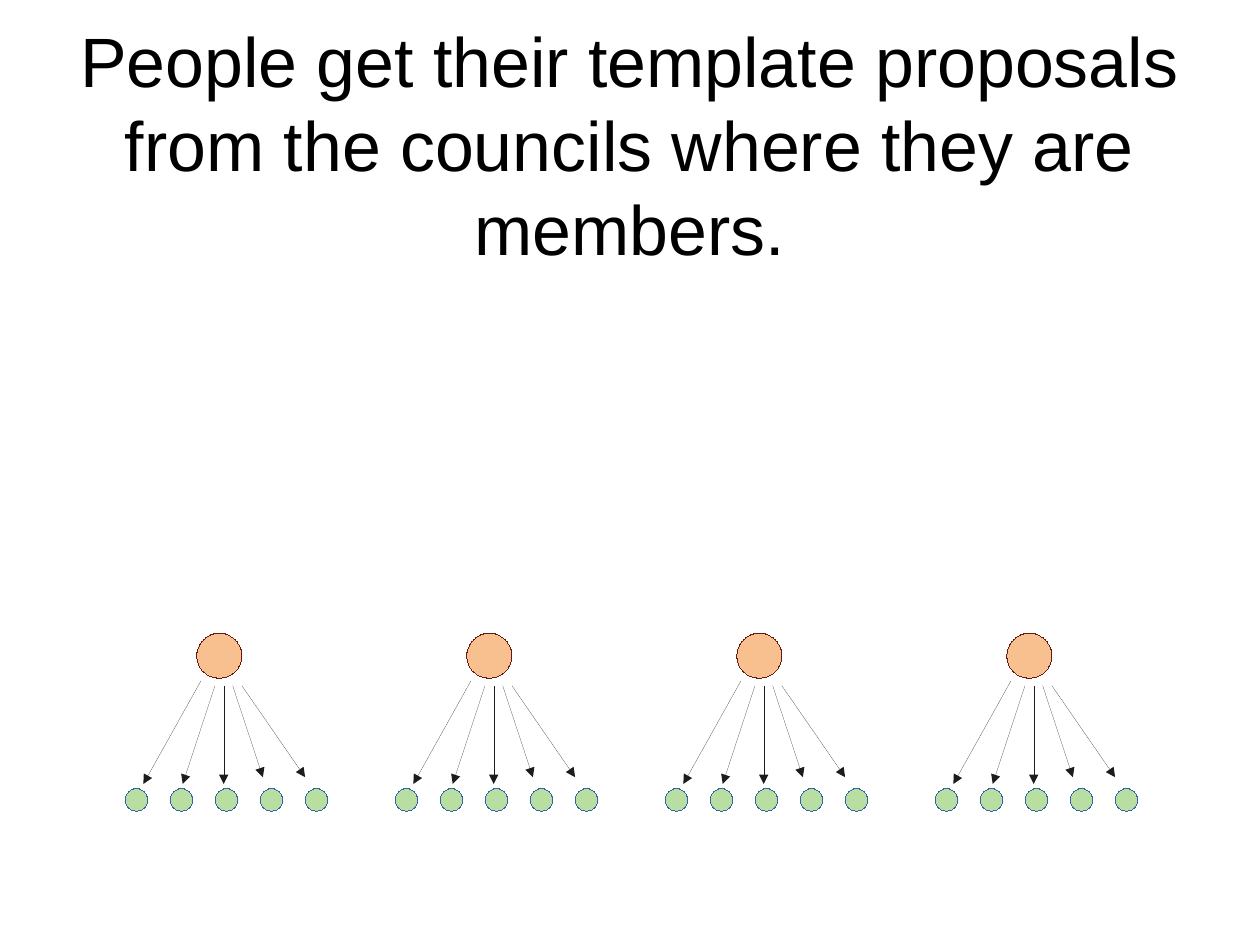
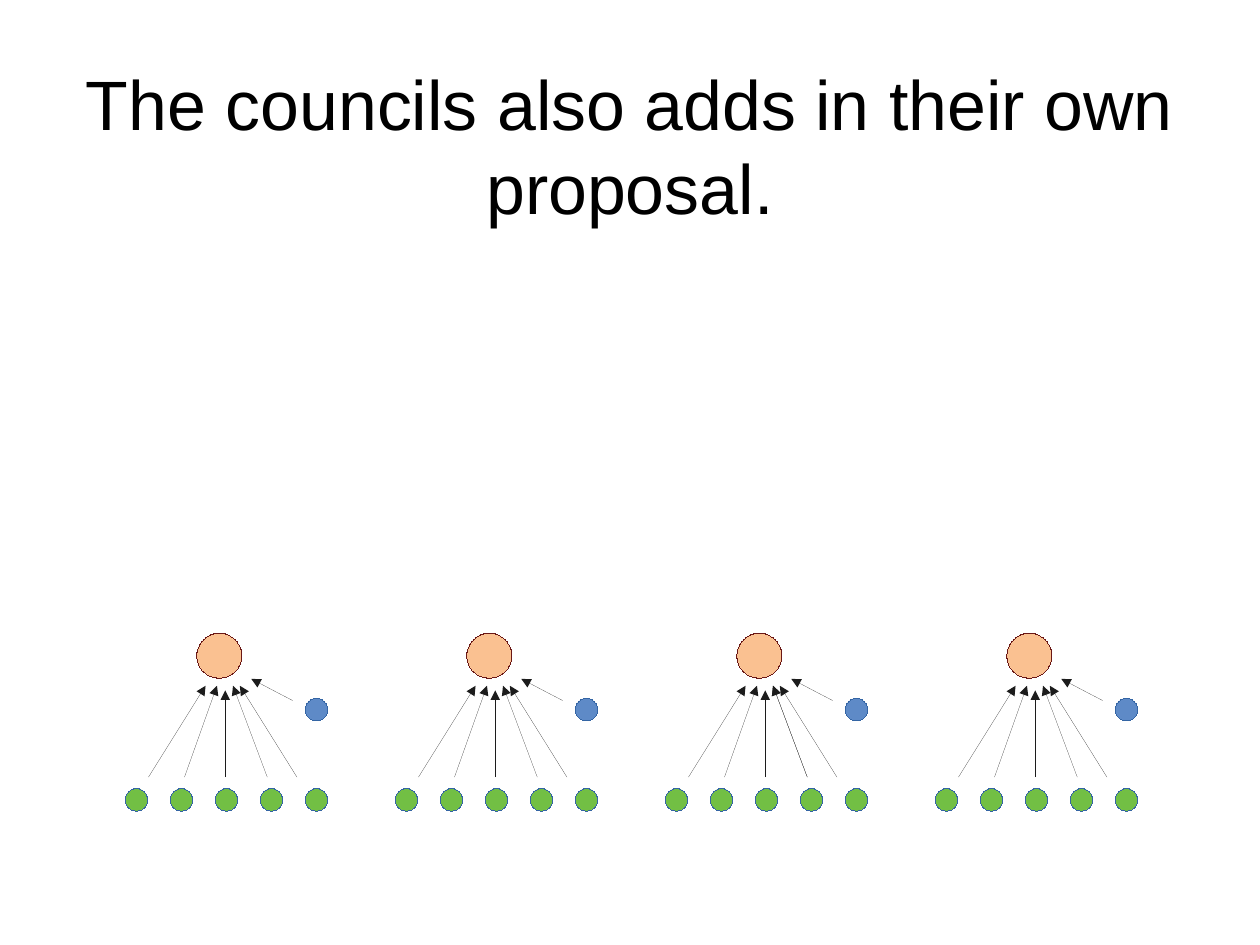
from lxml.etree import SubElement as Sub
from pptx import Presentation
from pptx.dml.color import RGBColor
from pptx.enum.shapes import MSO_CONNECTOR as Link, MSO_SHAPE as Kind
from pptx.enum.text import MSO_ANCHOR as Anchor, PP_ALIGN as Align
from pptx.oxml.ns import qn
from pptx.util import Pt

TREES, LEAVES = 4, 5
LEFT, PITCH, STEP = 78.9, 170.08, 28.35
LEAF, ROOT = 14.17, 28.35
LEAF_Y, ROOT_Y, OWN_Y = 496.8, 398.9, 439.9
ROOT_DX = 45.1

# Arrows within one tree: x from its left edge, y on the slide.
DOWN = [
    (47.6, 429.1, 11.4, 493.9),
    (56.5, 432, 36.2, 493.9),
    (62, 432, 62, 493.9),
    (67.7, 432, 86.7, 489.6),
    (73.5, 432, 113.3, 489.6),
]
UP = [
    (14.6, 489.6, 50.6, 432),
    (37.3, 489.6, 57.8, 432),
    (63, 489.6, 63, 434.9),
    (89.5, 489.6, 67.9, 432),
    (108.2, 489.6, 72.2, 432),
]
OWN = (105.6, 441.4, 79.4, 427.7)


def tint(code):
    """Turn a hex string into a colour."""
    return RGBColor.from_string(code)


def bare(item):
    """Drop the theme style and its effects from a shape or connector."""
    node = item._element
    node.remove(node.find(qn("p:style")))
    Sub(node.spPr, qn("a:effectLst"))


class Deck:
    """Holds the style and the current slide."""

    FONT, SIZE, LEAD = "Arial", 44, 52.9
    INK, DARK = "000000", "1C1C1C"
    GREEN, BLUE, ORANGE = "72BF44", "5E8AC7", "F58220"
    EDGE, RIM = "3465A4", "6A1816"

    def __init__(self):
        """Start an empty deck."""
        self.show = Presentation()
        self.show.slide_width, self.show.slide_height = Pt(793.7), Pt(595.3)

    def page(self, title, top, high):
        """Add a slide with its title."""
        self.slide = self.show.slides.add_slide(self.show.slide_layouts[6])
        self.text(title, 39.7, top, 714.3, high)

    def text(self, words, x, y, wide, high, *, size=SIZE, color=INK,
             align=Align.CENTER, anchor=Anchor.MIDDLE, lead=LEAD):
        """Add a text box without margins."""
        box = self.slide.shapes.add_textbox(Pt(x), Pt(y), Pt(wide), Pt(high))
        frame = box.text_frame
        frame.word_wrap = True
        frame.vertical_anchor = anchor
        frame.margin_left = frame.margin_right = 0
        frame.margin_top = frame.margin_bottom = 0
        para = frame.paragraphs[0]
        para.alignment, para.line_spacing = align, Pt(lead)
        run = para.add_run()
        run.text = words
        run.font.name, run.font.size = self.FONT, Pt(size)
        run.font.color.rgb = tint(color)

    def disc(self, x, y, size, fill, edge, alpha=100):
        """Add a circle; alpha is its opacity in percent."""
        dot = self.slide.shapes.add_shape(
            Kind.OVAL, Pt(x), Pt(y), Pt(size), Pt(size))
        dot.fill.solid()
        dot.fill.fore_color.rgb = tint(fill)
        dot.line.color.rgb = tint(edge)
        if alpha < 100:
            color = dot._element.spPr.find(qn("a:solidFill"))[0]
            Sub(color, qn("a:alpha"), val=str(alpha * 1000))
        bare(dot)

    def arrow(self, left, ends):
        """Add a hairline arrow, its ends measured from left."""
        x1, y1, x2, y2 = ends
        line = self.slide.shapes.add_connector(
            Link.STRAIGHT, Pt(left + x1), Pt(y1), Pt(left + x2), Pt(y2))
        line.line.color.rgb = tint(self.DARK)
        Sub(line.line._get_or_add_ln(), qn("a:tailEnd"), type="triangle")
        bare(line)

    def tree(self, left, arrows, leaf, root):
        """Add a council, its members and the arrows between them."""
        for i in range(LEAVES):
            self.disc(left + i * STEP, LEAF_Y, LEAF, self.GREEN, self.EDGE, leaf)
        self.disc(left + ROOT_DX, ROOT_Y, ROOT, self.ORANGE, self.RIM, root)
        for ends in arrows:
            self.arrow(left, ends)

    def own(self, left):
        """Add the proposal that a council makes itself."""
        self.disc(left + (LEAVES - 1) * STEP, OWN_Y, LEAF, self.BLUE, self.EDGE)
        self.arrow(left, OWN)


deck = Deck()
lefts = [LEFT + i * PITCH for i in range(TREES)]

deck.page("People get their template proposals from the councils "
          "where they are members.", 16.6, 147.6)
for left in lefts:
    deck.tree(left, DOWN, leaf=50, root=50)

deck.page("The councils also adds in their own proposal.", 41, 99.4)
for left in lefts:
    deck.tree(left, UP, leaf=100, root=49)
    deck.own(left)
# The third council has its fourth arrow doubled, which darkens it.
deck.arrow(lefts[2], UP[3])

deck.show.save("out.pptx")
